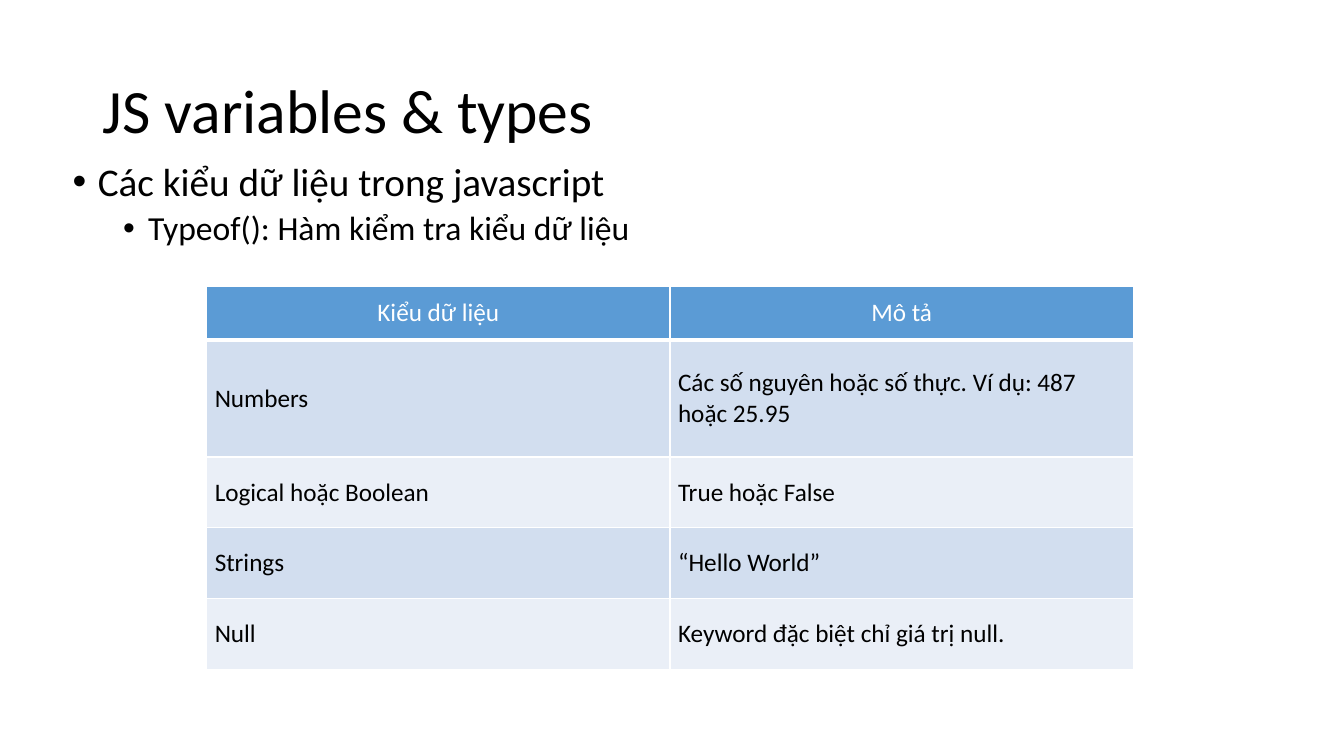
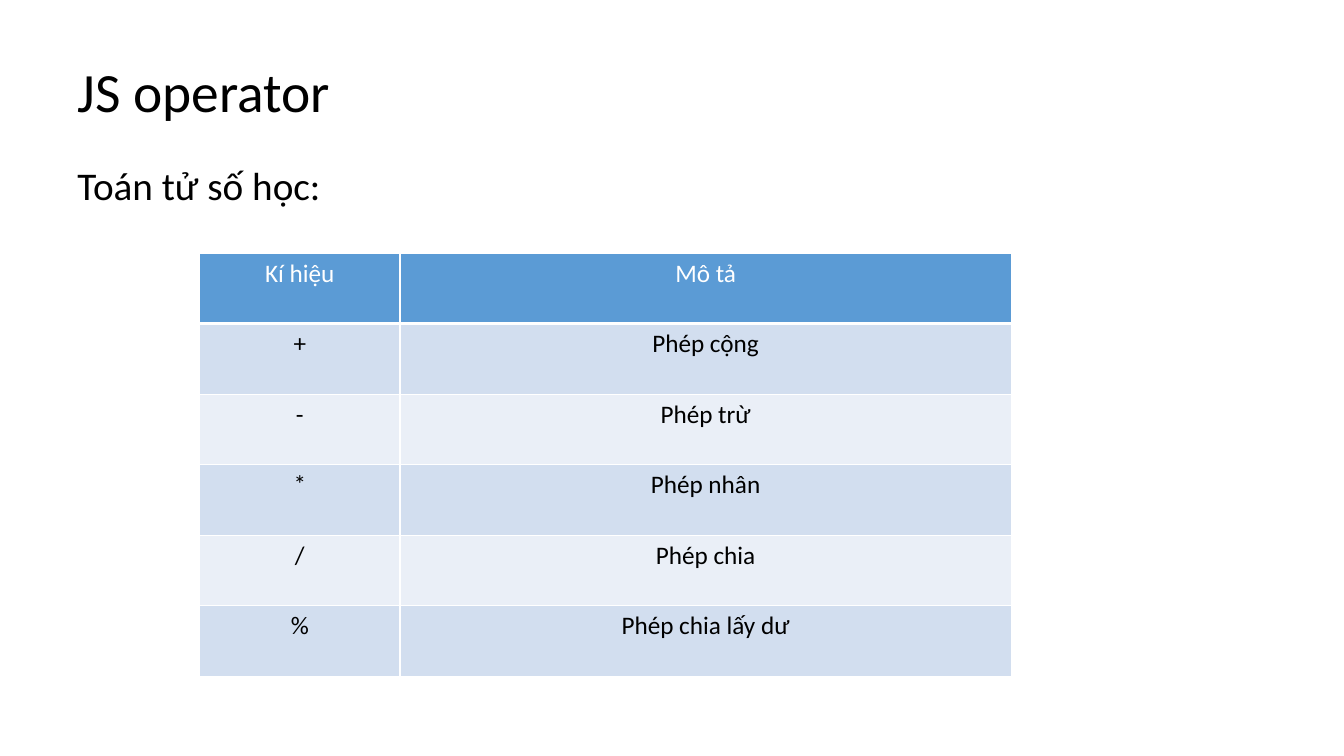
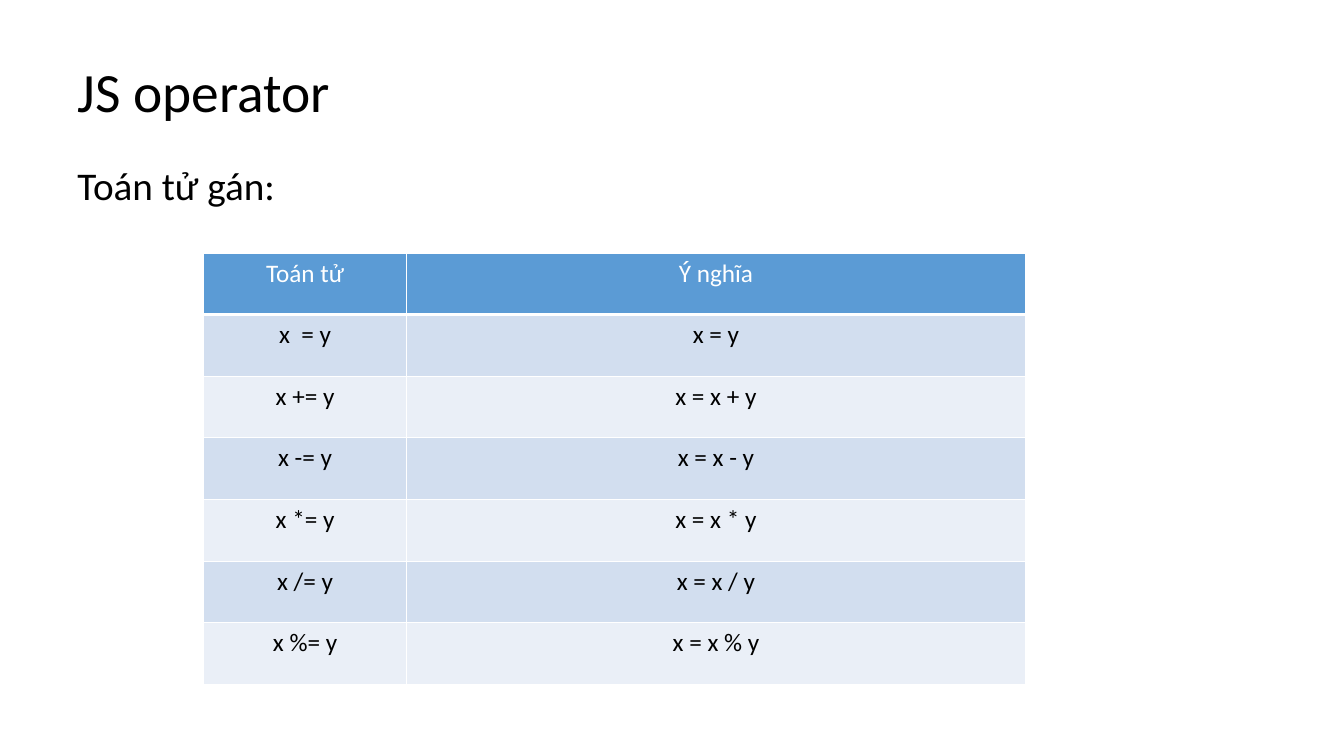
"""Builds three slides on JavaScript types and operators."""
from dataclasses import dataclass

from lxml import etree
from pptx import Presentation
from pptx.dml.color import RGBColor
from pptx.enum.text import MSO_ANCHOR, MSO_AUTO_SIZE, PP_ALIGN
from pptx.oxml.ns import qn
from pptx.util import Inches, Pt

LEFT, CENTER = PP_ALIGN.LEFT, PP_ALIGN.CENTER
TOP, MIDDLE = MSO_ANCHOR.TOP, MSO_ANCHOR.MIDDLE
FIXED, GROW = MSO_AUTO_SIZE.NONE, MSO_AUTO_SIZE.SHAPE_TO_FIT_TEXT
BODY_LAYOUT, TITLE_LAYOUT = 1, 5


@dataclass(frozen=True)
class Theme:
    font: str = "Calibri"
    ink: str = "000000"
    paper: str = "FFFFFF"
    head: str = "5B9BD5"
    bands: tuple = ("D2DEEF", "EAEFF7")
    title: float = 44
    small: float = 39.6
    lead: float = 28
    sub: float = 24
    cell: float = 18


THEME = Theme()
SIZE = (13.33, 7.5)

TYPES = {
    "title": "JS variables & types",
    "points": ["Các kiểu dữ liệu trong javascript",
               "Typeof(): Hàm kiểm tra kiểu dữ liệu"],
    "rows": [("Kiểu dữ liệu", "Mô tả"),
             ("Numbers", "Các số nguyên hoặc số thực. Ví dụ: 487 hoặc 25.95"),
             ("Logical hoặc Boolean", "True hoặc False"),
             ("Strings", "“Hello World”"),
             ("Null", "Keyword đặc biệt chỉ giá trị null.")],
    "box": (2.05, 2.84, 9.19, 3.8),
    "cols": (1, 1),
    "heights": (0.53, 1.16, 0.7, 0.7, 0.7),
}

OPERATORS = [
    {"lead": "Toán tử số học:", "width": 2.91,
     "rows": [("Kí hiệu", "Mô tả"), ("+", "Phép cộng"), ("-", "Phép trừ"),
              ("*", "Phép nhân"), ("/", "Phép chia"),
              ("%", "Phép chia lấy dư")],
     "box": (1.98, 2.51, 8.05, 4.2)},
    {"lead": "Toán tử gán:", "width": 2.41,
     "rows": [("Toán tử", "Ý nghĩa"), ("x  = y", "x = y")]
     + [(f"x {sign}= y", f"x = x {sign} y") for sign in "+-*/%"],
     "box": (2.02, 2.51, 8.15, 4.28)},
]
OPERATOR_COLS = (1.99, 6.07)


def paint(para, size, color=THEME.ink):
    for run in para.runs:
        font = run.font
        font.name, font.size, font.bold = THEME.font, Pt(size), False
        font.color.rgb = RGBColor.from_string(color)


def place(shape, box):
    shape.left, shape.top, shape.width, shape.height = map(Inches, box)


def add_slide(deck, layout, title, box, size):
    slide = deck.slides.add_slide(deck.slide_layouts[layout])
    shape = slide.shapes.title
    place(shape, box)
    frame = shape.text_frame
    frame.text = title
    frame.auto_size, frame.vertical_anchor = FIXED, MIDDLE
    para = frame.paragraphs[0]
    para.alignment, para.line_spacing = LEFT, 0.9
    paint(para, size)
    return slide


def add_points(slide, points, box):
    body = slide.placeholders[1]
    place(body, box)
    frame = body.text_frame
    frame.text = "\n".join(points)
    frame.auto_size = FIXED
    styles = ((THEME.lead, 10), (THEME.sub, 5))
    for level, (para, (size, space)) in enumerate(zip(frame.paragraphs, styles)):
        para.level = level
        para.line_spacing, para.space_before = 0.9, Pt(space)
        props = para._p.get_or_add_pPr()
        props.set("marL", str(Inches(0.25 + 0.5 * level)))
        props.set("indent", str(Inches(-0.25)))
        etree.SubElement(props, qn("a:buFont"), typeface="Arial")
        etree.SubElement(props, qn("a:buChar"), char="•")
        paint(para, size)


def add_edges(cell, head):
    props = cell._tc.get_or_add_tcPr()
    for side in "LRTB":
        width = 3 if head and side == "B" else 1
        line = etree.SubElement(props, qn(f"a:ln{side}"), w=str(Pt(width)))
        fill = etree.SubElement(line, qn("a:solidFill"))
        etree.SubElement(fill, qn("a:srgbClr"), val=THEME.paper)


def add_grid(slide, rows, box, cols, heights=None, align=CENTER, anchor=TOP, inset=None):
    heights = heights or [1] * len(rows)
    table = slide.shapes.add_table(len(rows), len(cols), *map(Inches, box)).table
    for col, share in zip(table.columns, cols):
        col.width = Inches(box[2] * share / sum(cols))
    for row, share in zip(table.rows, heights):
        row.height = Inches(box[3] * share / sum(heights))
    for r, texts in enumerate(rows):
        head = r == 0
        for c, text in enumerate(texts):
            cell = table.cell(r, c)
            cell.text, cell.vertical_anchor = text, anchor
            if inset and not head:
                cell.margin_left = cell.margin_right = Inches(inset)
                cell.margin_top = cell.margin_bottom = Inches(inset)
            add_edges(cell, head)
            cell.fill.solid()
            shade = THEME.head if head else THEME.bands[(r - 1) % 2]
            cell.fill.fore_color.rgb = RGBColor.from_string(shade)
            para = cell.text_frame.paragraphs[0]
            para.alignment = CENTER if head else align
            paint(para, THEME.cell, THEME.paper if head else THEME.ink)


def add_lead(slide, text, width):
    frame = slide.shapes.add_textbox(*map(Inches, (0.67, 1.55, width, 0.57))).text_frame
    frame.text = text
    frame.word_wrap, frame.auto_size = False, GROW
    paint(frame.paragraphs[0], THEME.lead)


def main():
    deck = Presentation()
    deck.slide_width, deck.slide_height = map(Inches, SIZE)
    slide = add_slide(deck, BODY_LAYOUT, TYPES["title"], (0.92, 0.4, 11.5, 1.45), THEME.title)
    add_points(slide, TYPES["points"], (0.62, 1.56, 12.06, 5.08))
    add_grid(slide, TYPES["rows"], TYPES["box"], TYPES["cols"], TYPES["heights"],
             LEFT, MIDDLE, 0.08)
    for part in OPERATORS:
        slide = add_slide(deck, TITLE_LAYOUT, "JS operator", (0.67, 0.67, 10.4, 0.53), THEME.small)
        add_grid(slide, part["rows"], part["box"], OPERATOR_COLS)
        add_lead(slide, part["lead"], part["width"])
    deck.save("out.pptx")


main()
